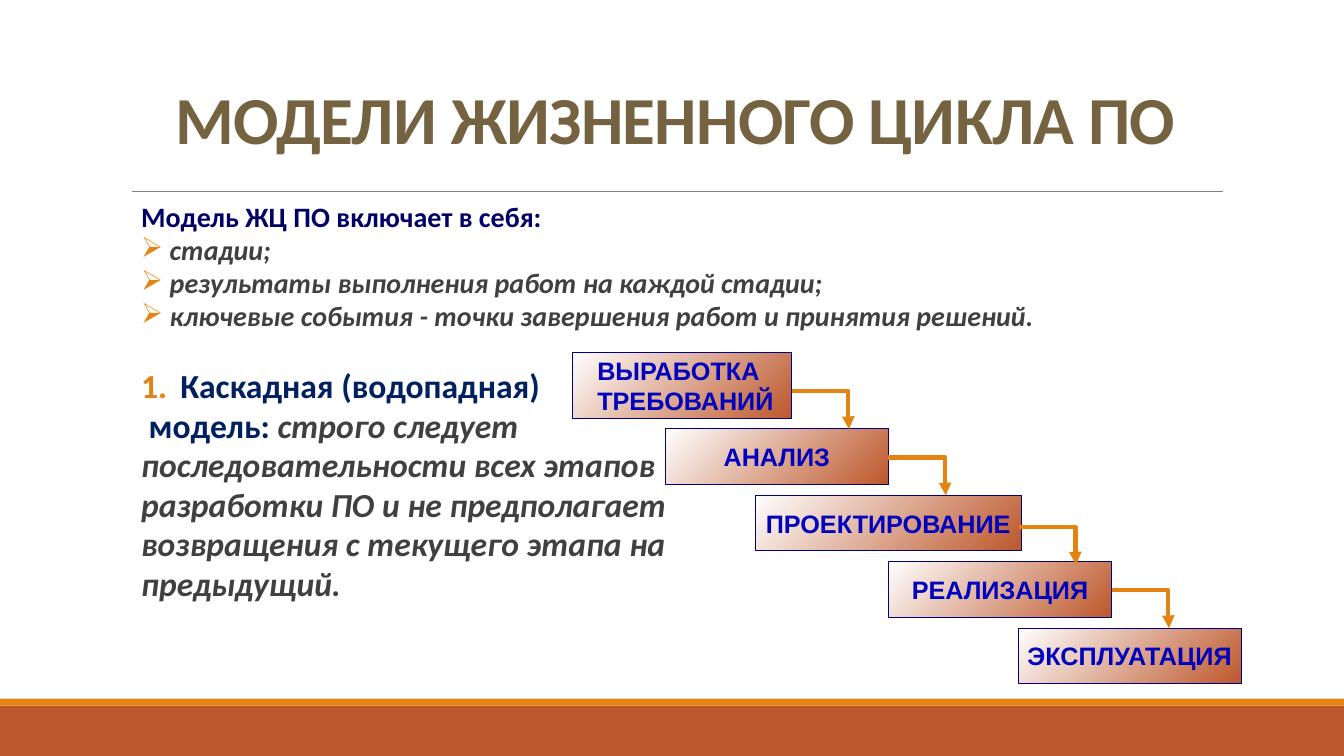
from lxml.etree import SubElement
from pptx import Presentation
from pptx.dml.color import RGBColor
from pptx.enum.shapes import MSO_CONNECTOR as Connector, MSO_SHAPE as Shape
from pptx.enum.text import MSO_ANCHOR as Anchor, PP_ALIGN as Align
from pptx.oxml.ns import qn
from pptx.util import Pt

COLORS = {
    "white": "FFFFFF", "brick": "BD582C", "orange": "E48312", "rule": "808080",
    "title": "746241", "heading": "000066", "model": "002060", "body": "404040",
    "stage_text": "0000BE", "stage_line": "000080",
}
TITLE = {"size": Pt(48), "name": "Calibri", "bold": True}
LIST_HEAD = {"size": Pt(20), "name": "Calibri", "bold": True}
LIST_ITEM = {**LIST_HEAD, "italic": True}
MODEL_NAME = {**LIST_HEAD, "size": Pt(24)}
MODEL_TEXT = {**MODEL_NAME, "italic": True}
STAGE = {"size": Pt(18), "name": "Arial", "bold": True}

LIST_ITEMS = [
    " стадии;",
    " результаты выполнения работ на каждой стадии;",
    " ключевые события - точки завершения работ и принятия решений.",
]
MODEL_LINES = [
    "последовательности всех этапов",
    "разработки ПО и не предполагает",
    "возвращения с текущего этапа на",
    "предыдущий.",
]
STAGES = [
    (["ВЫРАБОТКА ", " ТРЕБОВАНИЙ"], 0, 156.6, 46.8, (0, 0)),
    (["АНАЛИЗ"], 66.4, 159.4, 39.6, (0, 0)),
    (["ПРОЕКТИРОВАНИЕ"], 130.6, 190.2, 39.6, (-2, 2)),
    (["РЕАЛИЗАЦИЯ"], 225.8, 159.4, 39.6, (0, 0)),
    (["ЭКСПЛУАТАЦИЯ"], 318.4, 159.4, 39.6, (0, 0)),
]
STAGE_STEP = 47.4
ARROW_WIDTH, ARROW_HEIGHT = 41, 27


def rgb(name):
    return RGBColor.from_string(COLORS[name])


def add_run(paragraph, text, style, color):
    run = paragraph.add_run()
    run.text = text
    for attribute, value in style.items():
        setattr(run.font, attribute, value)
    run.font.color.rgb = rgb(color)
    return run


def add_text_box(slide, box, **frame_format):
    frame = slide.shapes.add_textbox(*map(Pt, box)).text_frame
    for attribute, value in {"word_wrap": True, **frame_format}.items():
        setattr(frame, attribute, value)
    return frame


def next_paragraph(frame):
    first = frame.paragraphs[0]
    return frame.add_paragraph() if first.runs else first


def set_bullet(paragraph, indent, tag=None, **attributes):
    properties = paragraph._p.get_or_add_pPr()
    properties.set("marL", str(Pt(indent)))
    properties.set("indent", str(-Pt(indent)))
    if tag:
        color = SubElement(properties, qn("a:buClr"))
        SubElement(color, qn("a:srgbClr"), val=COLORS["orange"])
        SubElement(properties, qn(tag), **attributes)


def add_line(slide, kind, ends, color, width):
    line = slide.shapes.add_connector(kind, *map(Pt, ends))
    line.line.color.rgb = rgb(color)
    line.line.width = Pt(width)
    SubElement(line._element.spPr, qn("a:effectLst"))
    return line


def draw_footer(slide, box):
    left, top, width, height = box
    stripe = 5
    bands = [("brick", top + stripe, height - stripe), ("orange", top, stripe)]
    for color, band_top, band_height in bands:
        shape = slide.shapes.add_shape(
            Shape.RECTANGLE, Pt(left), Pt(band_top), Pt(width), Pt(band_height))
        shape.shadow.inherit = False
        shape.fill.solid()
        shape.fill.fore_color.rgb = rgb(color)
        shape.line.fill.background()


def draw_title(slide, box):
    left, top, width, height = box
    rule = top + height + 20.2
    add_line(slide, Connector.STRAIGHT, (left + 8, rule, left + width - 5, rule), "rule", 0.5)
    frame = add_text_box(slide, box, vertical_anchor=Anchor.BOTTOM)
    paragraph = frame.paragraphs[0]
    paragraph.alignment = Align.CENTER
    paragraph.line_spacing = 0.85
    run = add_run(paragraph, "МОДЕЛИ ЖИЗНЕННОГО ЦИКЛА ПО", TITLE, "title")
    run.font._element.set("spc", "-50")


def draw_body(slide, box):
    frame = add_text_box(slide, box, margin_left=0, margin_right=0)
    heading = next_paragraph(frame)
    set_bullet(heading, 7.2)
    add_run(heading, "Модель ЖЦ ПО включает в себя:", LIST_HEAD, "heading")
    for item in LIST_ITEMS:
        paragraph = next_paragraph(frame)
        set_bullet(paragraph, 7.2, "a:buChar", char="➢")
        add_run(paragraph, item, LIST_ITEM, "body")

    model = next_paragraph(frame)
    model.space_before = Pt(24)
    set_bullet(model, 28, "a:buAutoNum", type="arabicPeriod")
    add_run(model, "Каскадная (водопадная)", MODEL_NAME, "model")
    model = next_paragraph(frame)
    add_run(model, " модель: ", MODEL_NAME, "model")
    add_run(model, "строго следует", MODEL_TEXT, "body")
    for text in MODEL_LINES:
        add_run(next_paragraph(frame), text, MODEL_TEXT, "body")
    for paragraph in frame.paragraphs:
        paragraph.line_spacing = 0.98


def draw_stage(slide, box, lines):
    shape = slide.shapes.add_shape(Shape.RECTANGLE, *map(Pt, box))
    shape.shadow.inherit = False
    shape.fill.gradient()
    shape.fill.gradient_angle = 315
    for stop, color, position in zip(shape.fill.gradient_stops, ("white", "brick"), (0, 1)):
        stop.color.rgb = rgb(color)
        stop.position = position
    shape.line.color.rgb = rgb("stage_line")
    shape.line.width = Pt(0.75)
    frame = shape.text_frame
    frame.word_wrap = False
    frame.vertical_anchor = Anchor.MIDDLE
    for text in lines:
        paragraph = next_paragraph(frame)
        paragraph.alignment = Align.CENTER
        add_run(paragraph, text, STAGE, "stage_text")


def draw_arrow(slide, left, bottom):
    ends = (left, bottom - ARROW_HEIGHT, left + ARROW_WIDTH, bottom)
    arrow = add_line(slide, Connector.ELBOW, ends, "orange", 3)
    SubElement(arrow.line._get_or_add_ln(), qn("a:tailEnd"), type="triangle")
    guides = arrow._element.spPr.find(qn("a:prstGeom")).get_or_add_avLst()
    SubElement(guides, qn("a:gd"), name="adj1", fmla="val 99100")


def draw_waterfall(slide, box):
    left, bottom = box[0], box[1] + box[3]
    last = len(STAGES) - 1
    tops = [bottom - 39.6 - STAGE_STEP * (last - index) for index in range(last + 1)]
    tops[0] = box[1]
    for (lines, offset, width, height, _), top in zip(STAGES, tops):
        draw_stage(slide, (left + offset, top, width, height), lines)
    for (_, offset, width, _, (dx, dy)), next_top in zip(STAGES, tops[1:]):
        draw_arrow(slide, left + offset + width + dx, next_top + dy)


def main():
    presentation = Presentation()
    presentation.slide_width, presentation.slide_height = Pt(960), Pt(540)
    slide = presentation.slides.add_slide(presentation.slide_layouts[6])
    draw_footer(slide, (0, 499, 960, 41))
    draw_title(slide, (86.4, 22.3, 792, 94.3))
    draw_body(slide, (100.8, 140.4, 706.3, 316.8))
    draw_waterfall(slide, (408.8, 252, 477.8, 236.2))
    presentation.save("out.pptx")


if __name__ == "__main__":
    main()
